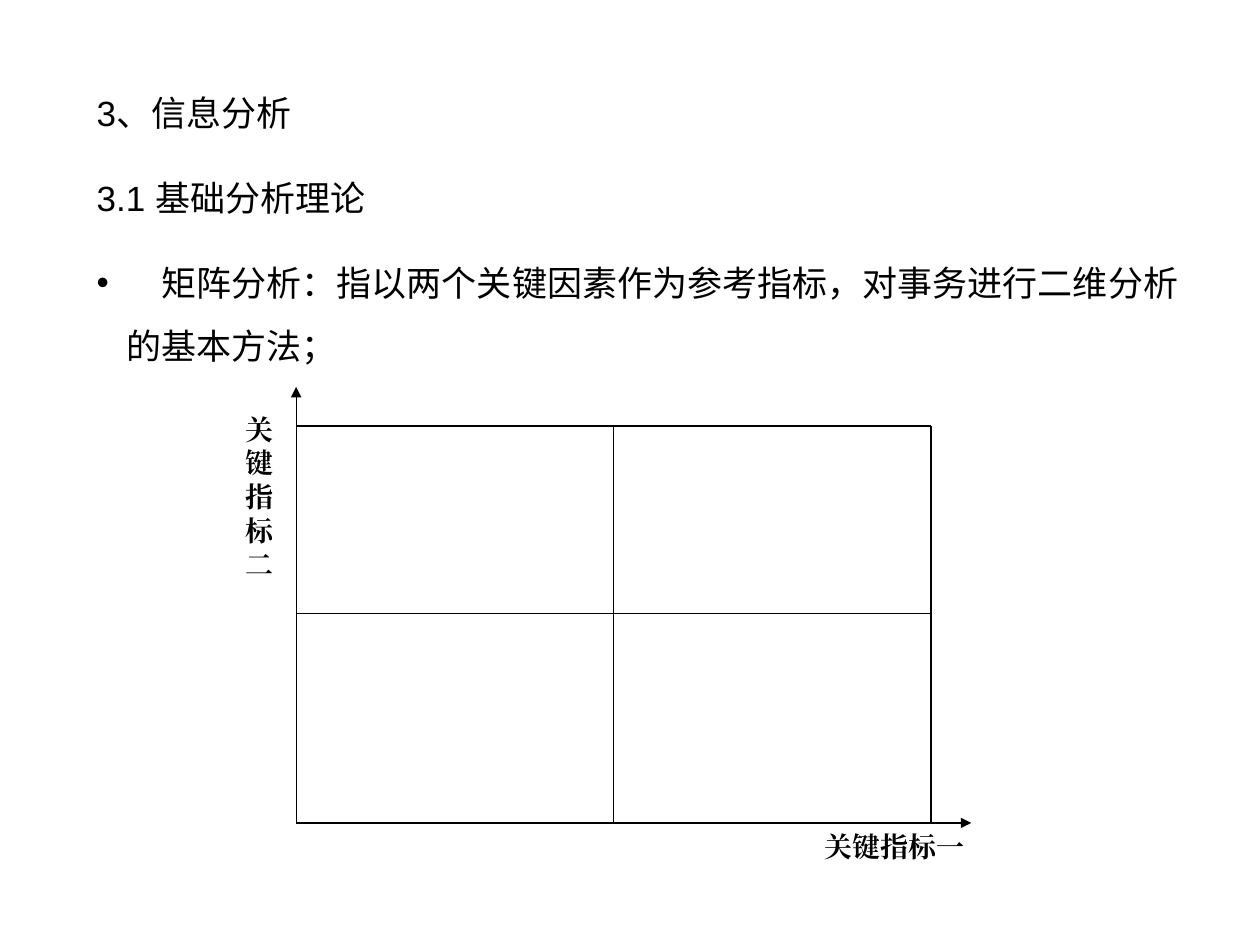
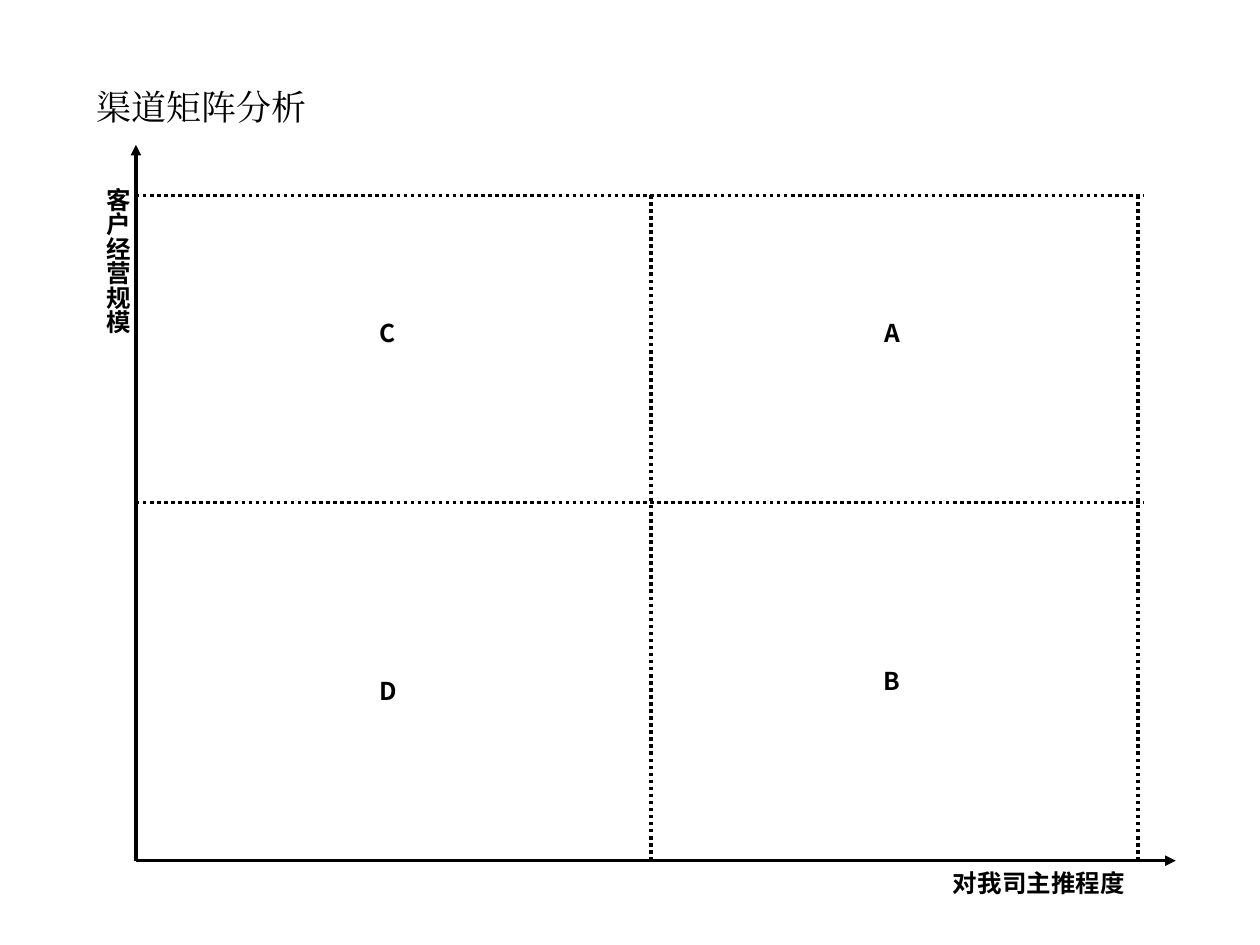
"""Build two slides on matrix analysis: the basic grid and the channel matrix."""
from lxml import etree
from pptx import Presentation
from pptx.dml.color import RGBColor
from pptx.enum import dml, shapes, text
from pptx.oxml import ns
from pptx.util import Cm, Pt

BLACK = RGBColor(0, 0, 0)
LATIN_SANS = "Arial"
LATIN_SERIF = "Times New Roman"
CJK_SANS = "Noto Sans CJK SC"


def write(slide, place, lines, size, font, pitch, bold=False, align=text.PP_ALIGN.LEFT):
    frame = slide.shapes.add_textbox(*[Cm(length) for length in place]).text_frame
    frame.word_wrap = True
    frame.text = "\n".join(lines)
    for number, paragraph in enumerate(frame.paragraphs):
        paragraph.alignment = align
        paragraph.line_spacing = Pt(pitch)
        if number:
            paragraph.space_before = Pt(12.5)
        for run in paragraph.runs:
            run.font.size = Pt(size)
            run.font.bold = bold
            run.font.color.rgb = BLACK
            run.font.name = font
            etree.SubElement(run.font._element if hasattr(run.font, "_element") else run.font._rPr,
                             ns.qn("a:ea"), typeface=font)
    return frame


def rule(slide, start, end, width, dash=None, arrow=False):
    line = slide.shapes.add_connector(
        shapes.MSO_CONNECTOR.STRAIGHT, *[Cm(length) for length in (*start, *end)])
    line.line.color.rgb = BLACK
    line.line.width = Pt(width)
    if dash:
        line.line.dash_style = dash
    if arrow:
        etree.SubElement(line.line._get_or_add_ln(), ns.qn("a:tailEnd"), type="triangle")
    etree.SubElement(line._element.spPr, ns.qn("a:effectLst"))


deck = Presentation()
deck.slide_width, deck.slide_height = Cm(25.4), Cm(19.05)
theory, channels = [deck.slides.add_slide(deck.slide_layouts[6]) for _ in range(2)]

matrices = [
    dict(slide=theory, columns=(5.97, 12.37, 18.77), rows=(8.59, 12.37, 16.59),
         axis_top=7.8, axis_right=19.58, grid_right=18.77, width=0.75, dash=None),
    dict(slide=channels, columns=(2.74, 13.12, 22.94), rows=(3.94, 10.13, 17.35),
         axis_top=2.92, axis_right=23.7, grid_right=23.05, width=2,
         dash=dml.MSO_LINE.ROUND_DOT),
]
for matrix in matrices:
    slide, width, dash = matrix["slide"], matrix["width"], matrix["dash"]
    left, *dividers = matrix["columns"]
    *levels, bottom = matrix["rows"]
    origin = (left, bottom)
    rule(slide, origin, (matrix["axis_right"], bottom), width, arrow=True)
    rule(slide, origin, (left, matrix["axis_top"]), width, arrow=True)
    for level in levels:
        rule(slide, (left, level), (matrix["grid_right"], level), width, dash)
    for divider in dividers:
        rule(slide, (divider, bottom), (divider, levels[0]), width, dash)

theory_points = [
    "3、信息分析",
    "3.1 基础分析理论",
    "　矩阵分析：指以两个关键因素作为参考指标，对事务进行二维分析的基本方法；",
]
definition = write(theory, (1.7, 1.3, 22.81, 6.22), theory_points, 20, LATIN_SANS, 36).paragraphs[-1]
indents = definition._p.get_or_add_pPr()
indents.set("marL", str(Cm(0.6)))
indents.set("indent", str(-Cm(0.6)))
etree.SubElement(indents, ns.qn("a:buFont"), typeface=LATIN_SANS)
etree.SubElement(indents, ns.qn("a:buChar"), char="•")

for indicator, place in [("关键指标一", (16.38, 16.59, 3.38, 0.94)),
                         ("关键指标二", (4.7, 8.18, 1.27, 3.66))]:
    write(theory, place, [indicator], 16, LATIN_SERIF, 19.3, bold=True)

write(channels, (1.7, 1.32, 22.2, 1.37), ["渠道矩阵分析"], 20, LATIN_SERIF, 31.7)

channel_labels = [
    ("对我司主推程度", (18.34, 17.35, 5.21, 0.86)),
    ("C", (6.55, 6.27, 2.54, 0.86)),
    ("A", (16.71, 6.27, 2.54, 0.86)),
    ("B", (16.71, 13.28, 2.54, 0.86)),
    ("D", (6.55, 13.49, 2.54, 0.86)),
    ("客户经营规模", (1.73, 3.53, 1.09, 3.61)),
]
for label, place in channel_labels:
    frame = write(channels, place, [label], 14, CJK_SANS, 17.3, bold=True,
                  align=text.PP_ALIGN.CENTER)
frame._txBody.bodyPr.set("vert", "eaVert")
frame.margin_left = frame.margin_right = Cm(0.13)
frame.margin_top = frame.margin_bottom = Cm(0.25)

deck.save("out.pptx")
